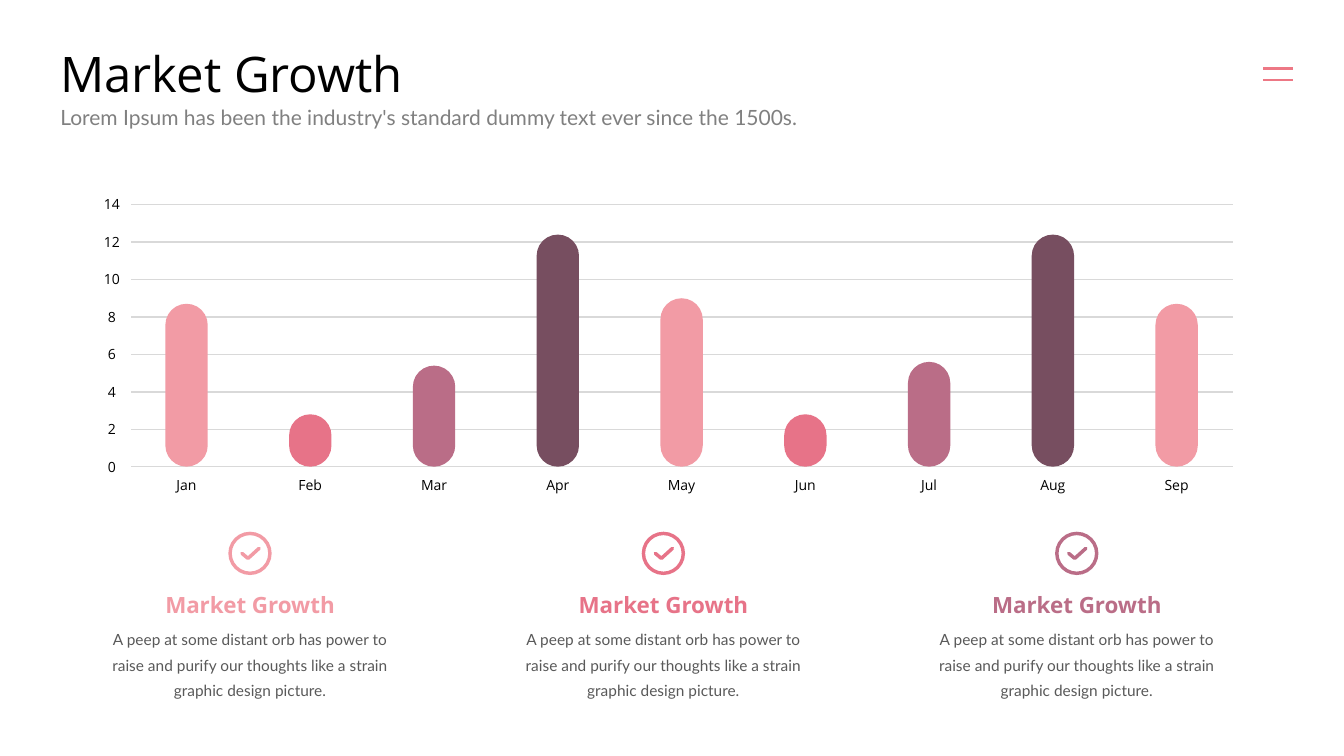
from lxml.etree import SubElement
from pptx import Presentation
from pptx.dml.color import RGBColor
from pptx.enum.shapes import MSO_CONNECTOR, MSO_SHAPE
from pptx.enum.text import MSO_ANCHOR, PP_ALIGN
from pptx.oxml.ns import qn
from pptx.util import Inches, Pt

# Content
TITLE = "Market Growth"
SUBTITLE = "Lorem Ipsum has been the industry's standard dummy text ever since the 1500s."
PINK, ROSE, MAUVE, PLUM = "F29BA5", "E77388", "BA6D87", "774E60"
MONTHS = [
    ("Jan", 8.7, PINK), ("Feb", 2.8, ROSE), ("Mar", 5.4, MAUVE),
    ("Apr", 12.4, PLUM), ("May", 9.0, PINK), ("Jun", 2.8, ROSE),
    ("Jul", 5.6, MAUVE), ("Aug", 12.4, PLUM), ("Sep", 8.7, PINK),
]
BLURB = ("A peep at some distant orb has power to raise and purify our thoughts "
         "like a strain graphic design picture.")
POINTS = [("Market Growth", BLURB, PINK), ("Market Growth", BLURB, ROSE),
          ("Market Growth", BLURB, MAUVE)]
HEADING_FONT, BODY_FONT = "Open Sans", "Lato"
BLACK, GRID_GREY, MENU_PINK = "000000", "D9D9D9", "ED7885"

# Grid, in inches
WIDTH, HEIGHT = 13.33, 7.5
MARGIN = 0.5
PLOT_LEFT, PLOT_RIGHT, PLOT_TOP, PLOT_BASE = 1.3, 12.23, 2.03, 4.63
AXIS_MAX, AXIS_STEP = 14, 2
UNIT = (PLOT_BASE - PLOT_TOP) / AXIS_MAX
AXIS_CENTER, LABEL_WIDTH, LABEL_HEIGHT = 1.11, 0.5, 0.27
FIRST_BAR, LAST_BAR, BAR_WIDTH = 1.85, 11.67, 0.42
BAR_PITCH = (LAST_BAR - FIRST_BAR) / (len(MONTHS) - 1)
FIRST_POINT, POINT_PITCH, POINT_WIDTH = 2.48, 4.1, 3.11
ICON_SIZE, ICON_MIDDLE = 0.43, 5.49
CHECK = [(-0.08, 0), (-0.02, 0.05), (0.09, -0.05)]

prs = Presentation()
prs.slide_width, prs.slide_height = Inches(WIDTH), Inches(HEIGHT)
slide = prs.slides.add_slide(prs.slide_layouts[6])
shapes = slide.shapes


def color(value):
    return RGBColor.from_string(value)


def add_text(text, left, top, width, height, size, font=HEADING_FONT, fill=BLACK,
             bold=False, align=PP_ALIGN.LEFT, anchor=MSO_ANCHOR.TOP,
             wrap=True, leading=None):
    frame = shapes.add_textbox(Inches(left), Inches(top),
                               Inches(width), Inches(height)).text_frame
    frame.word_wrap, frame.vertical_anchor = wrap, anchor
    paragraph = frame.paragraphs[0]
    paragraph.alignment = align
    if leading:
        paragraph.line_spacing = Pt(leading)
    run = paragraph.add_run()
    run.text = text
    run.font.name, run.font.size, run.font.bold = font, Pt(size), bold
    run.font.color.rgb = color(fill)


def add_rule(left, right, y, line_color, weight):
    rule = shapes.add_connector(MSO_CONNECTOR.STRAIGHT, Inches(left), Inches(y),
                                Inches(right), Inches(y))
    rule.line.color.rgb, rule.line.width = color(line_color), Pt(weight)
    SubElement(rule._element.spPr, qn("a:effectLst"))


def add_solid(preset, left, top, width, height, fill, adjustment):
    solid = shapes.add_shape(preset, Inches(left), Inches(top),
                             Inches(width), Inches(height))
    solid.adjustments[0] = adjustment
    solid.shadow.inherit = False
    solid.fill.solid()
    solid.fill.fore_color.rgb = color(fill)
    solid.line.fill.background()


def add_check_icon(center, fill):
    add_solid(MSO_SHAPE.DONUT, center - ICON_SIZE / 2, ICON_MIDDLE - ICON_SIZE / 2,
              ICON_SIZE, ICON_SIZE, fill, 0.08)
    corners = [(Inches(center + x), Inches(ICON_MIDDLE + y)) for x, y in CHECK]
    builder = shapes.build_freeform(*corners[0])
    builder.add_line_segments(corners[1:], close=False)
    tick = builder.convert_to_shape()
    tick.shadow.inherit = False
    tick.fill.background()
    tick.line.color.rgb, tick.line.width = color(fill), Pt(2.5)
    outline = tick.line._get_or_add_ln()
    outline.set("cap", "rnd")
    SubElement(outline, qn("a:round"))


# Title, subtitle and menu mark
add_text(TITLE, MARGIN, 0.39, WIDTH - 2 * MARGIN, 0.66, 35, anchor=MSO_ANCHOR.MIDDLE)
add_text(SUBTITLE, MARGIN, 0.99, WIDTH - 2 * MARGIN, 0.35, 15,
         font=BODY_FONT, fill="808080")
for menu_y in (0.68, 0.79):
    add_rule(12.53, 12.82, menu_y, MENU_PINK, 1.5)

# Gridlines and value axis
for value in range(0, AXIS_MAX + 1, AXIS_STEP):
    y = PLOT_BASE - value * UNIT
    add_rule(PLOT_LEFT, PLOT_RIGHT, y, GRID_GREY, 1)
    add_text(str(value), AXIS_CENTER - LABEL_WIDTH / 2, y - LABEL_HEIGHT / 2,
             LABEL_WIDTH, LABEL_HEIGHT, 10, align=PP_ALIGN.CENTER, wrap=False)

# Round-ended bars with month labels
for index, (month, value, fill) in enumerate(MONTHS):
    center = FIRST_BAR + index * BAR_PITCH
    add_solid(MSO_SHAPE.ROUNDED_RECTANGLE, center - BAR_WIDTH / 2,
              PLOT_BASE - value * UNIT, BAR_WIDTH, value * UNIT, fill, 0.5)
    add_text(month, center - LABEL_WIDTH / 2, 4.68, LABEL_WIDTH, LABEL_HEIGHT, 10,
             align=PP_ALIGN.CENTER, wrap=False)

# Three points below the bars
for index, (heading, blurb, fill) in enumerate(POINTS):
    center = FIRST_POINT + index * POINT_PITCH
    left = center - POINT_WIDTH / 2
    add_check_icon(center, fill)
    add_text(heading, left, 5.82, POINT_WIDTH, 0.37, 16, fill=fill, bold=True,
             align=PP_ALIGN.CENTER, wrap=False)
    add_text(blurb, left, 6.14, POINT_WIDTH, 0.83, 11, font=BODY_FONT, fill="595959",
             align=PP_ALIGN.CENTER, leading=18)

prs.save("out.pptx")
